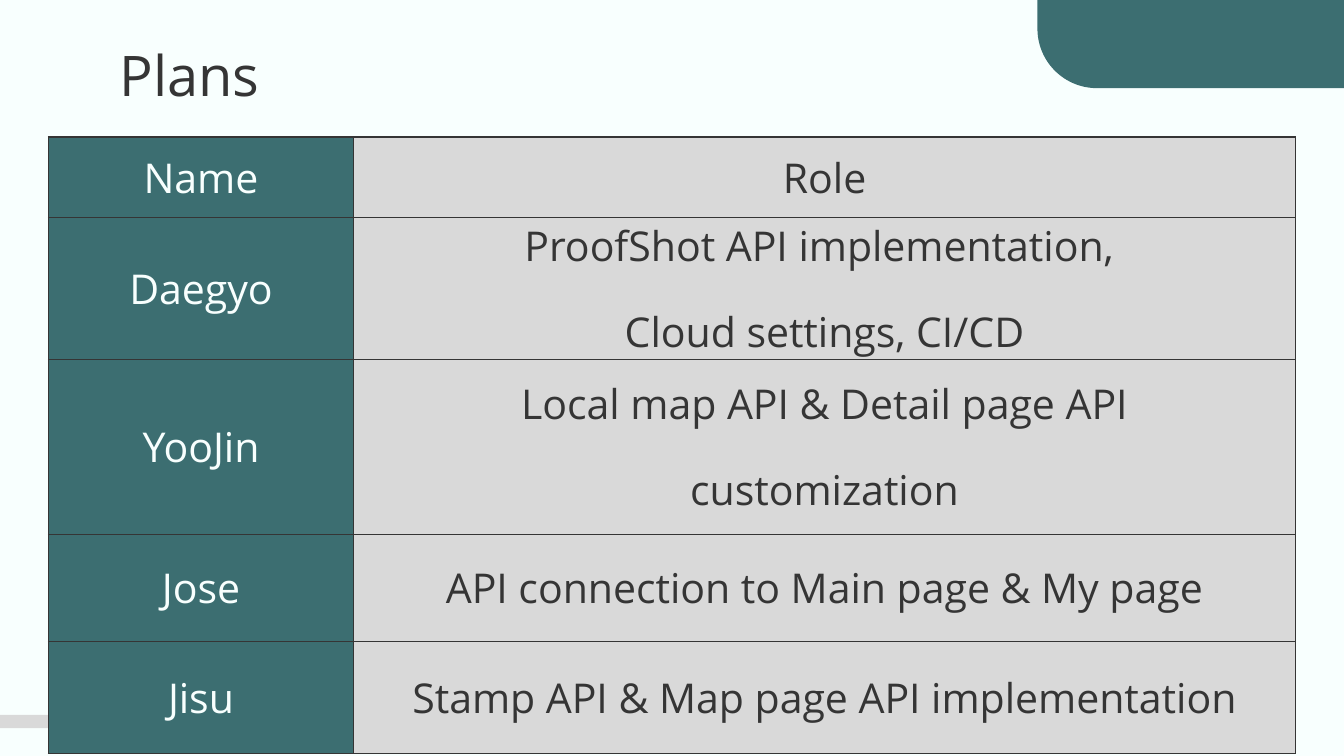
from lxml import etree
from pptx import Presentation
from pptx.dml.color import RGBColor
from pptx.enum.shapes import MSO_SHAPE
from pptx.enum.text import MSO_ANCHOR, PP_ALIGN
from pptx.oxml.ns import qn
from pptx.util import Pt

RECTANGLE = MSO_SHAPE.RECTANGLE
ROUNDED = MSO_SHAPE.ROUNDED_RECTANGLE
CENTER = PP_ALIGN.CENTER
LEFT = PP_ALIGN.LEFT
TOP = MSO_ANCHOR.TOP
MIDDLE = MSO_ANCHOR.MIDDLE

TEAL = RGBColor(0x3C, 0x6E, 0x71)
GRAY = RGBColor(0xD9, 0xD9, 0xD9)
MINT = RGBColor(0xF8, 0xFF, 0xFE)
DARK = RGBColor(0x35, 0x35, 0x35)
FONT = "Open Sans"

TITLE = "Plans"
PLANS = [
    ("Name", ["Role"], 43.2),
    ("Daegyo", ["ProofShot API implementation, ", "Cloud settings, CI/CD"], 72),
    ("YooJin", ["Local map API & Detail page API", "customization"], 93.6),
    ("Jose", ["API connection to Main page & My page"], 57.6),
    ("Jisu", ["Stamp API & Map page API implementation"], 59.8),
]
COLUMN_WIDTHS = [163.4, 504.7]
COLUMN_COLORS = [(TEAL, MINT), (GRAY, DARK)]
TABLE_LEFT, TABLE_TOP = 26, 73.4
PARAGRAPH_GAP = 16


def add_block(slide, kind, left, top, width, height, color):
    shape = slide.shapes.add_shape(kind, Pt(left), Pt(top), Pt(width), Pt(height))
    shape.shadow.inherit = False
    shape.fill.solid()
    shape.fill.fore_color.rgb = color
    shape.line.fill.background()
    return shape


def add_text(paragraph, text, size, color, alignment):
    paragraph.alignment = alignment
    run = paragraph.add_run()
    run.text = text
    run.font.name = FONT
    run.font.size = Pt(size)
    run.font.color.rgb = color


def add_borders(cell):
    properties = cell._tc.get_or_add_tcPr()
    for index, side in enumerate(("a:lnL", "a:lnR", "a:lnT", "a:lnB")):
        line = etree.Element(qn(side), w=str(Pt(0.75)))
        fill = etree.SubElement(line, qn("a:solidFill"))
        etree.SubElement(fill, qn("a:srgbClr"), val=str(DARK))
        properties.insert(index, line)


def fill_cell(cell, lines, background, color):
    cell.fill.solid()
    cell.fill.fore_color.rgb = background
    cell.vertical_anchor = MIDDLE
    cell.margin_left = cell.margin_right = Pt(7.2)
    cell.margin_top = cell.margin_bottom = Pt(0)
    for index, text in enumerate(lines):
        frame = cell.text_frame
        paragraph = frame.add_paragraph() if index else frame.paragraphs[0]
        if index:
            paragraph.space_before = Pt(PARAGRAPH_GAP)
        add_text(paragraph, text, 22, color, CENTER)
    add_borders(cell)


def add_plan_table(slide):
    heights = [height for _, _, height in PLANS]
    table = slide.shapes.add_table(
        len(PLANS), len(COLUMN_WIDTHS), Pt(TABLE_LEFT), Pt(TABLE_TOP),
        Pt(sum(COLUMN_WIDTHS)), Pt(sum(heights))).table
    for column, width in zip(table.columns, COLUMN_WIDTHS):
        column.width = Pt(width)
    for row, (name, role, height) in zip(table.rows, PLANS):
        row.height = Pt(height)
        for cell, lines, colors in zip(row.cells, ([name], role), COLUMN_COLORS):
            fill_cell(cell, lines, *colors)


def add_title(slide):
    box = slide.shapes.add_textbox(Pt(56.9), Pt(14.4), Pt(607), Pt(45.4))
    frame = box.text_frame
    frame.word_wrap = True
    frame.vertical_anchor = TOP
    frame.margin_left = frame.margin_right = Pt(7.2)
    frame.margin_top = frame.margin_bottom = Pt(7.2)
    add_text(frame.paragraphs[0], TITLE, 30, DARK, LEFT)


def main():
    presentation = Presentation()
    presentation.slide_width, presentation.slide_height = Pt(720), Pt(405)
    slide = presentation.slides.add_slide(presentation.slide_layouts[6])
    slide.background.fill.solid()
    slide.background.fill.fore_color.rgb = MINT
    corner = add_block(slide, ROUNDED, 555.8, -62.8, 216, 110, TEAL)
    corner.adjustments[0] = 0.29
    add_block(slide, RECTANGLE, 0, 383, 447, 7.2, GRAY)
    add_plan_table(slide)
    add_title(slide)
    presentation.save("out.pptx")


if __name__ == "__main__":
    main()
